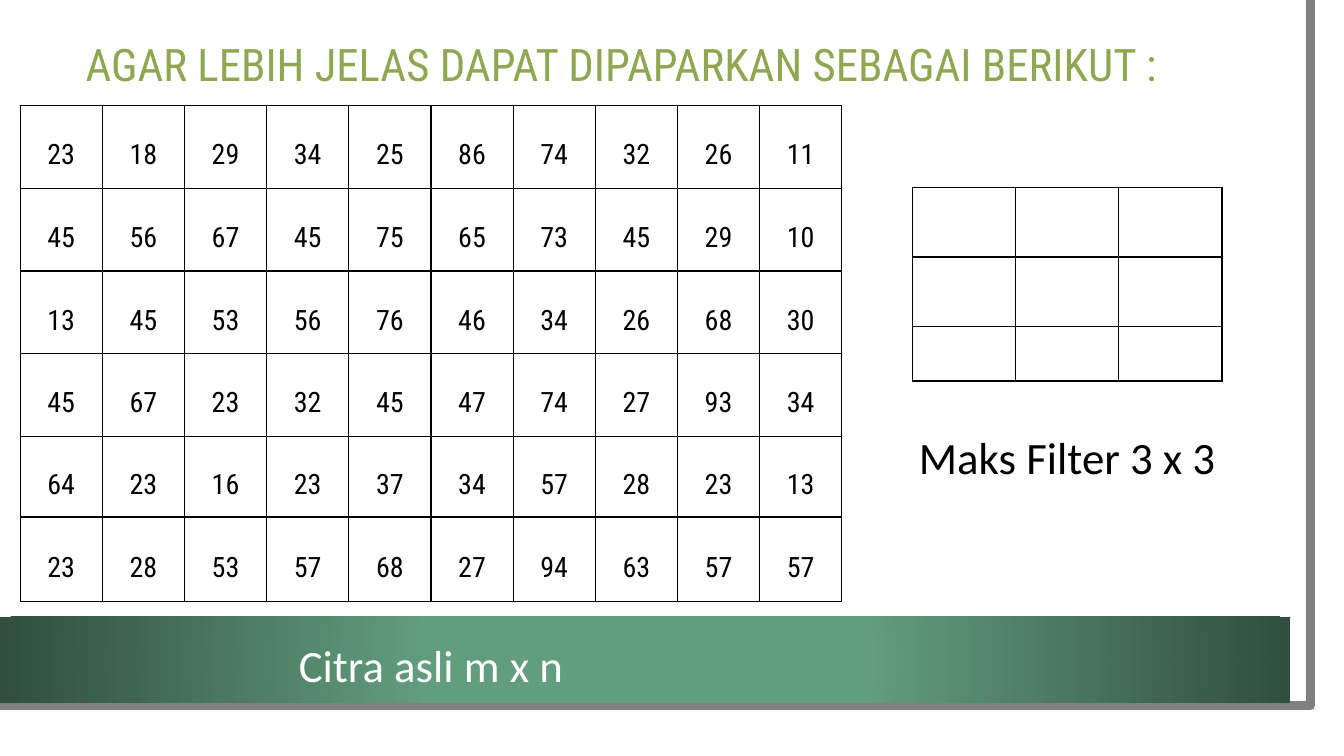
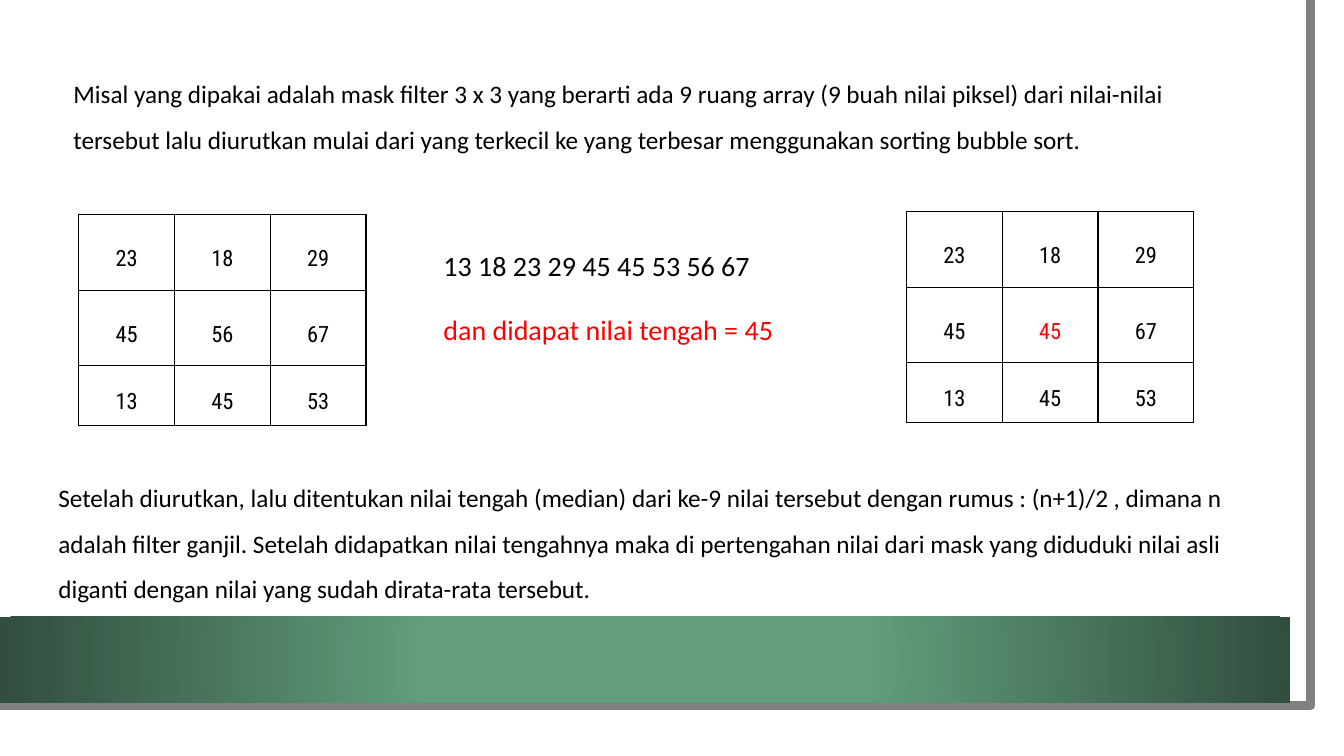
from lxml.etree import SubElement
from pptx import Presentation
from pptx.dml.color import RGBColor
from pptx.enum.shapes import MSO_SHAPE as Shape
from pptx.enum.text import MSO_ANCHOR as Anchor, PP_ALIGN as Align
from pptx.oxml.ns import qn
from pptx.util import Inches, Pt

WIDTH, HEIGHT = 13.33, 7.5
BLACK, WHITE, RED = "000000", "FFFFFF", "FF0000"
OLIVE, GREY, GREEN, DARK_GREEN = "8FA751", "808080", "629D7D", "314E3E"
BODY, CONDENSED = "Calibri", "Roboto Condensed"
BAND_TOP, BAND_HEIGHT = 6.12, 0.85

TITLE = "AGAR LEBIH JELAS DAPAT DIPAPARKAN SEBAGAI BERIKUT :"
IMAGE_PIXELS = [
    [23, 18, 29, 34, 25, 86, 74, 32, 26, 11],
    [45, 56, 67, 45, 75, 65, 73, 45, 29, 10],
    [13, 45, 53, 56, 76, 46, 34, 26, 68, 30],
    [45, 67, 23, 32, 45, 47, 74, 27, 93, 34],
    [64, 23, 16, 23, 37, 34, 57, 28, 23, 13],
    [23, 28, 53, 57, 68, 27, 94, 63, 57, 57],
]
IMAGE_ROWS = [0.82] * 4 + [0.8, 0.84]
EMPTY_MASK = [[""] * 3 for _ in range(3)]
MASK_BEFORE = [row[:3] for row in IMAGE_PIXELS[:3]]
MASK_AFTER = [[23, 18, 29], [45, 45, 67], [13, 45, 53]]
MASK_ROWS = [0.75, 0.75, 0.59]

INTRO = (
    "Misal yang dipakai adalah mask filter 3 x 3 yang berarti ada 9 ruang array "
    "(9 buah nilai piksel) dari nilai-nilai tersebut lalu diurutkan mulai dari yang "
    "terkecil ke yang terbesar menggunakan sorting bubble sort."
)
SORTING = [("13 18 23 29 45 45 53 56 67", BLACK), ("dan didapat nilai tengah = 45", RED)]
CONCLUSION = (
    "Setelah diurutkan, lalu ditentukan nilai tengah (median) dari ke-9 nilai tersebut "
    "dengan rumus : (n+1)/2 , dimana n adalah filter ganjil. Setelah didapatkan nilai "
    "tengahnya maka di pertengahan nilai dari mask yang diduduki nilai asli diganti "
    "dengan nilai yang sudah dirata-rata tersebut."
)


def rgb(color):
    return RGBColor.from_string(color)


def write(frame, lines, size=18, font=BODY, color=BLACK, align=Align.LEFT, spacing=1.5, after=0):
    lines = [(lines, color)] if isinstance(lines, str) else lines
    for index, (text, text_color) in enumerate(lines):
        paragraph = frame.add_paragraph() if index else frame.paragraphs[0]
        paragraph.alignment = align
        paragraph.line_spacing = spacing
        paragraph.space_after = Pt(after)
        run = paragraph.add_run()
        run.text = text
        run.font.size = Pt(size)
        run.font.name = font
        run.font.color.rgb = rgb(text_color)


def add_text(slide, box, lines, anchor=Anchor.MIDDLE, side_inset=0.1, **text_format):
    frame = slide.shapes.add_textbox(*map(Inches, box)).text_frame
    frame.word_wrap = True
    frame.vertical_anchor = anchor
    frame.margin_left = frame.margin_right = Inches(side_inset)
    write(frame, lines, **text_format)


def add_rectangle(slide, width, height, top=0):
    shape = slide.shapes.add_shape(
        Shape.RECTANGLE, 0, Inches(top), Inches(width), Inches(height)
    )
    shape.shadow.inherit = False
    shape.line.fill.background()
    return shape


def fill_radially(shape, stops):
    shape.fill.gradient()
    for stop, (position, color) in zip(shape.fill.gradient_stops, stops):
        stop.position = position
        stop.color.rgb = rgb(color)
    gradient = shape._element.spPr.find(qn("a:gradFill"))
    gradient.remove(gradient.find(qn("a:lin")))
    circle = SubElement(gradient, qn("a:path"), path="circle")
    SubElement(circle, qn("a:fillToRect"), dict.fromkeys("ltrb", "50000"))


def add_base_slide(presentation):
    slide = presentation.slides.add_slide(presentation.slide_layouts[6])
    page = add_rectangle(slide, 13.1, 7.27)
    page.fill.solid()
    page.fill.fore_color.rgb = rgb(WHITE)

    builder = slide.shapes.build_freeform(12.82, 0, scale=Inches(1))
    builder.add_line_segments([(12.85, 7.02), (-0.03, 7.01)], close=False)
    edge = builder.convert_to_shape()
    edge.shadow.inherit = False
    edge.fill.background()
    edge.line.color.rgb = rgb(GREY)
    edge.line.width = Pt(6.5)

    band = add_rectangle(slide, 12.8, BAND_HEIGHT, BAND_TOP)
    fill_radially(band, [(0.34, GREEN), (1, DARK_GREEN)])
    return slide


def set_borders(cell):
    properties = cell._tc.get_or_add_tcPr()
    for side in "LRTB":
        line = SubElement(properties, qn(f"a:ln{side}"), w=str(Pt(1)))
        SubElement(SubElement(line, qn("a:solidFill")), qn("a:srgbClr"), val=BLACK)


def add_grid(slide, left, top, width, row_heights, values, size=16, highlight=None):
    columns = len(values[0])
    table = slide.shapes.add_table(
        len(values), columns, Inches(left), Inches(top),
        Inches(width), Inches(sum(row_heights)),
    ).table
    table.first_row = table.horz_banding = False
    for column in table.columns:
        column.width = Inches(width / columns)
    for r, (height, row) in enumerate(zip(row_heights, values)):
        table.rows[r].height = Inches(height)
        for c, value in enumerate(row):
            cell = table.cell(r, c)
            set_borders(cell)
            cell.fill.background()
            if value == "":
                continue
            cell.vertical_anchor = Anchor.MIDDLE
            cell.margin_left = cell.margin_right = Inches(0.07)
            cell.margin_top = cell.margin_bottom = 0
            write(cell.text_frame, str(value), size=size, font=CONDENSED,
                  color=RED if (r, c) == highlight else BLACK,
                  align=Align.CENTER, after=10)


def add_caption(slide, left, top, width, text, color):
    add_text(slide, (left, top, width, BAND_HEIGHT), text, side_inset=0,
             size=32, color=color, align=Align.CENTER, spacing=0.9)


def build_image_slide(presentation):
    slide = add_base_slide(presentation)
    add_text(slide, (0.75, 0.35, 11.37, 0.63), TITLE,
             size=32, font=CONDENSED, color=OLIVE, spacing=0.9)
    image_left, image_width = 0.2, 8.15
    mask_left, mask_width = 9.05, 3.07
    add_grid(slide, image_left, 1.05, image_width, IMAGE_ROWS, IMAGE_PIXELS, size=20)
    add_grid(slide, mask_left, 1.86, mask_width, [0.69, 0.69, 0.54], EMPTY_MASK)
    add_caption(slide, mask_left, 4.14, mask_width, "Maks Filter 3 x 3", BLACK)
    add_caption(slide, image_left, 6.2, image_width, "Citra asli m x n", WHITE)


def build_median_slide(presentation):
    slide = add_base_slide(presentation)
    add_text(slide, (0.63, 0.45, 11.37, 1.26), INTRO)
    add_grid(slide, 0.78, 2.13, 2.85, MASK_ROWS, MASK_BEFORE)
    add_text(slide, (4.3, 2.25, 4.5, 1.25), SORTING, anchor=Anchor.TOP, size=20, after=10)
    add_grid(slide, 8.99, 2.1, 2.85, MASK_ROWS, MASK_AFTER, highlight=(1, 1))
    add_text(slide, (0.48, 4.59, 11.92, 1.46), CONCLUSION, anchor=Anchor.TOP)


def main():
    presentation = Presentation()
    presentation.slide_width = Inches(WIDTH)
    presentation.slide_height = Inches(HEIGHT)
    build_image_slide(presentation)
    build_median_slide(presentation)
    presentation.save("out.pptx")


if __name__ == "__main__":
    main()
